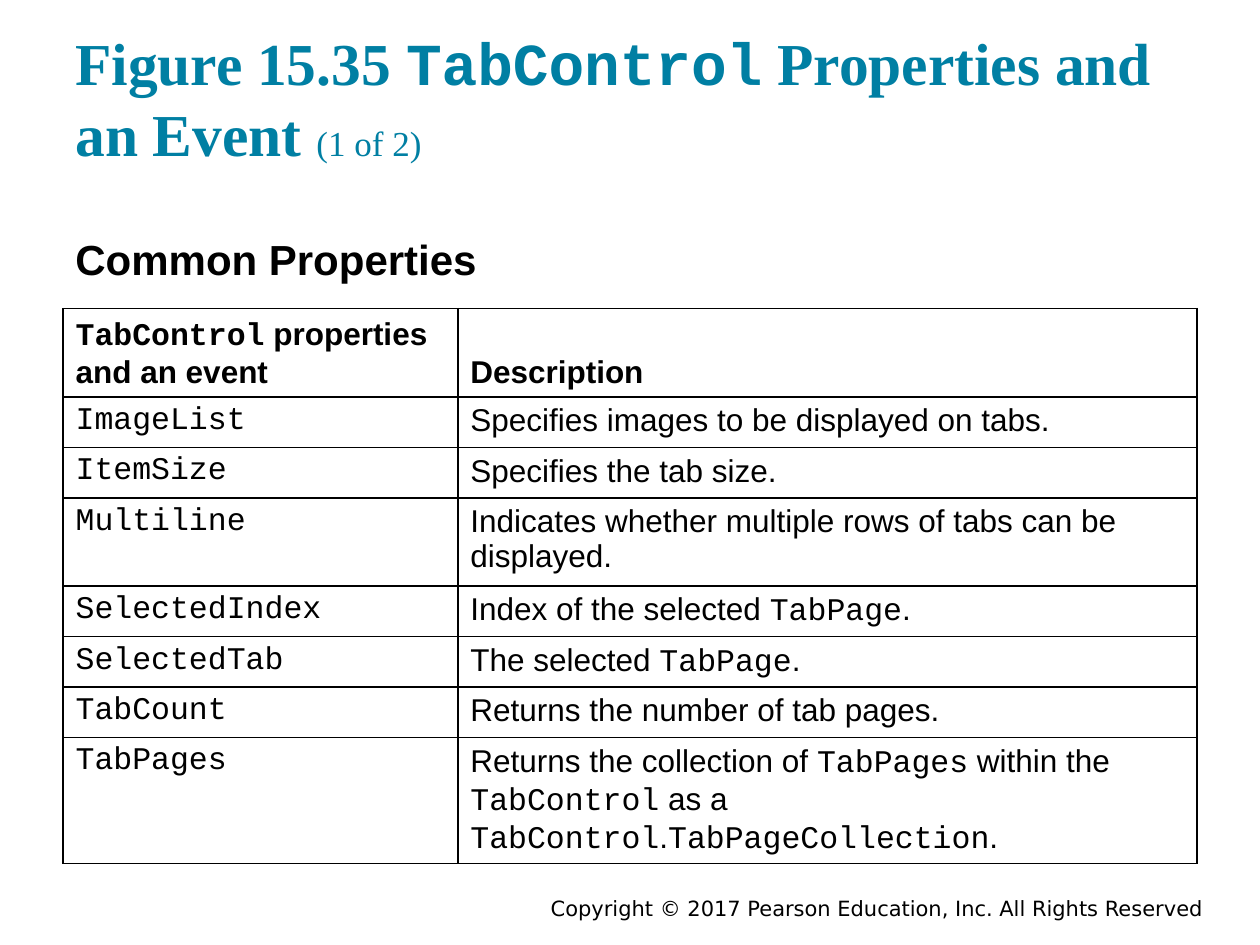
from dataclasses import dataclass

from lxml import etree
from pptx import Presentation
from pptx.dml.color import RGBColor
from pptx.enum.text import MSO_ANCHOR, PP_ALIGN
from pptx.oxml.ns import qn
from pptx.util import Pt

TOP, MIDDLE, BOTTOM = MSO_ANCHOR.TOP, MSO_ANCHOR.MIDDLE, MSO_ANCHOR.BOTTOM
LEFT, RIGHT = PP_ALIGN.LEFT, PP_ALIGN.RIGHT


@dataclass(frozen=True)
class Theme:
    teal: str = "007FA3"
    black: str = "000000"
    white: str = "FFFFFF"
    serif: str = "Times New Roman"
    sans: str = "Arial"
    mono: str = "Courier New"
    plain: str = "DejaVu Sans"
    title: int = 34
    count: int = 20
    head: int = 24
    cell: int = 18
    foot: int = 12
    line: int = 1


THEME = Theme()
PAD = 7.2
COLS = (225.6, 422.4)

# Words between backticks are set in the code font.
ROWS = (
    ("`TabControl` properties and an event", "Description"),
    ("`ImageList`", "Specifies images to be displayed on tabs."),
    ("`ItemSize`", "Specifies the tab size."),
    ("`Multiline`", "Indicates whether multiple rows of tabs can be displayed."),
    ("`SelectedIndex`", "Index of the selected `TabPage`."),
    ("`SelectedTab`", "The selected `TabPage`."),
    ("`TabCount`", "Returns the number of tab pages."),
    ("`TabPages`", "Returns the collection of `TabPages` within the "
     "`TabControl` as a `TabControl`.`TabPageCollection`."),
)
# Least heights: each row grows to fit its text.
HEIGHTS = (18.7, 10.8, 10.8, 18.7, 10.8, 10.8, 10.8, 27.4)


def write(para, text, font=THEME.sans, size=THEME.cell, color=THEME.black,
          bold=False, align=LEFT):
    """Add text to a paragraph, with backticked parts in the code font."""
    para.alignment = align
    for i, part in enumerate(text.split("`")):
        if part:
            run = para.add_run()
            run.text = part
            run.font.name = THEME.mono if i % 2 else font
            run.font.size = Pt(size)
            run.font.bold = bold
            run.font.color.rgb = RGBColor.from_string(color)


def add_box(slide, box, anchor=TOP):
    """Add an empty text box and return its first paragraph."""
    frame = slide.shapes.add_textbox(*map(Pt, box)).text_frame
    frame.word_wrap = True
    frame.vertical_anchor = anchor
    frame.margin_left = frame.margin_right = Pt(PAD)
    frame.margin_top = frame.margin_bottom = Pt(PAD)
    return frame.paragraphs[0]


def add_title(slide, box):
    para = add_box(slide, box, BOTTOM)
    look = {"font": THEME.serif, "color": THEME.teal}
    write(para, "Figure 15.35 `TabControl` Properties and an Event ",
          size=THEME.title, bold=True, **look)
    write(para, "(1 of 2)", size=THEME.count, **look)


def add_head(slide, box):
    para = add_box(slide, box)
    write(para, "Common Properties", size=THEME.head, bold=True)


def add_foot(slide, box):
    para = add_box(slide, box, MIDDLE)
    write(para, "Copyright © 2017 Pearson Education, Inc. All Rights Reserved",
          font=THEME.plain, size=THEME.foot, align=RIGHT)


def frame_cell(cell):
    """Draw a line on all four sides of a cell."""
    props = cell._tc.get_or_add_tcPr()
    for side in ("lnL", "lnR", "lnT", "lnB"):
        line = etree.SubElement(props, qn(f"a:{side}"), w=str(Pt(THEME.line)))
        fill = etree.SubElement(line, qn("a:solidFill"))
        etree.SubElement(fill, qn("a:srgbClr"), val=THEME.black)


def add_grid(slide, box):
    shape = slide.shapes.add_table(len(ROWS), len(COLS), *map(Pt, box))
    grid = shape.table
    grid.horz_banding = False
    for col, width in zip(grid.columns, COLS):
        col.width = Pt(width)
    for r, (texts, height) in enumerate(zip(ROWS, HEIGHTS)):
        grid.rows[r].height = Pt(height)
        for c, text in enumerate(texts):
            cell = grid.cell(r, c)
            frame_cell(cell)
            cell.fill.solid()
            cell.fill.fore_color.rgb = RGBColor.from_string(THEME.white)
            cell.vertical_anchor = TOP if r else BOTTOM
            write(cell.text_frame.paragraphs[0], text, bold=r == 0)
    shape.height = Pt(box[3])  # setting row heights has changed it


def main():
    deck = Presentation()
    deck.slide_width, deck.slide_height = Pt(720), Pt(540)
    slide = deck.slides.add_slide(deck.slide_layouts[6])
    left, width = 36, sum(COLS)
    add_foot(slide, (216, 509.8, 478.8, 18))
    add_title(slide, (left, 17.3, width, 86.4))
    add_head(slide, (left, 126, width, 39.6))
    add_grid(slide, (left, 176.4, width, 316.8))
    deck.save("out.pptx")


if __name__ == "__main__":
    main()
